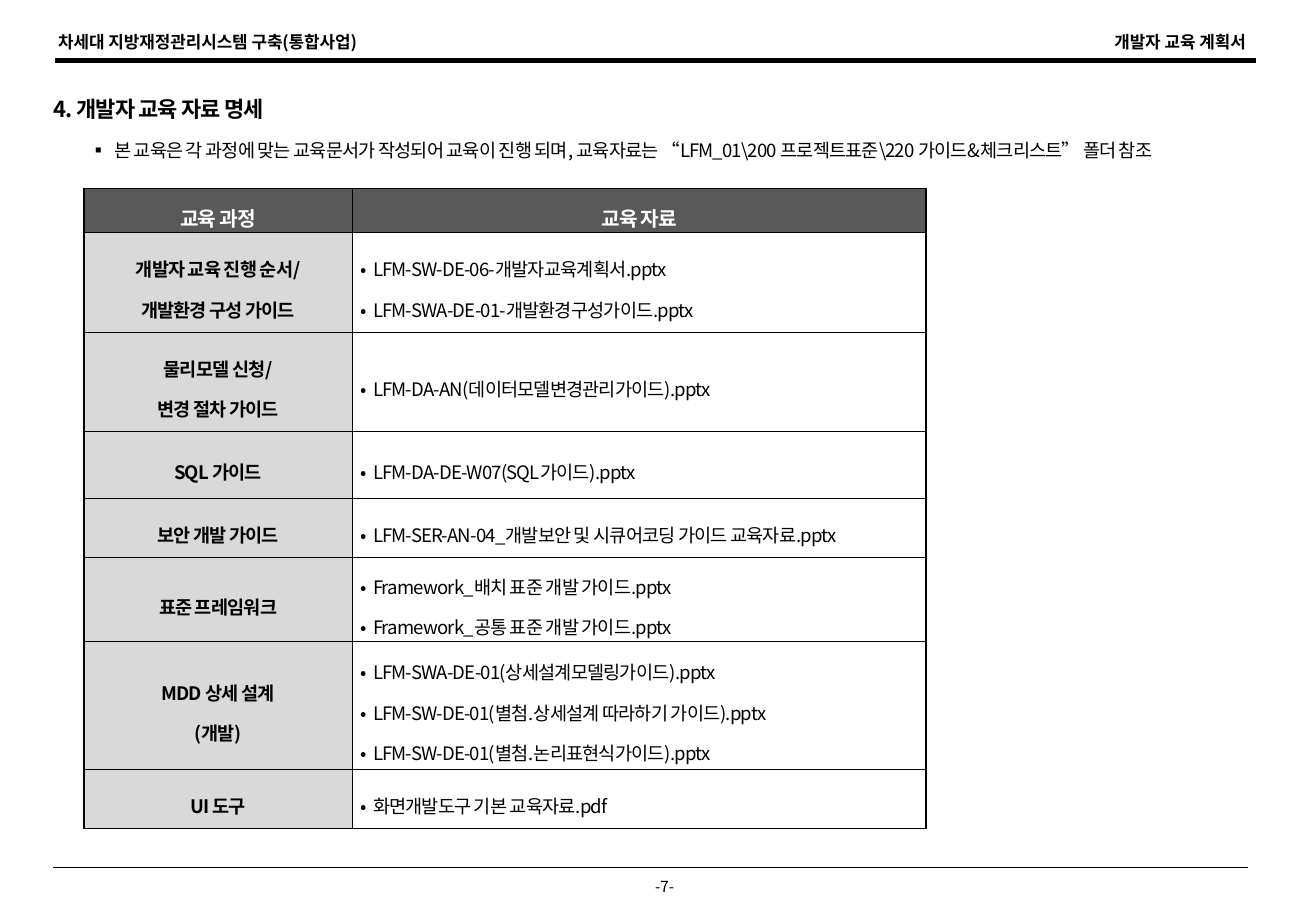
"""Build the slide that lists the developer training materials."""
import lxml.etree
import pptx
import pptx.dml.color
import pptx.enum.shapes
import pptx.enum.text
import pptx.oxml.ns
import pptx.util

ALIGN = pptx.enum.text.PP_ALIGN
ANCHOR = pptx.enum.text.MSO_ANCHOR
WIDTH, HEIGHT = 10.83, 7.5

THEME = {
    "font": "Noto Sans CJK KR",
    "ink": "000000", "paper": "FFFFFF", "head": "595959", "label": "D9D9D9",
    "page": 9, "running": 10, "body": 11, "column": 12, "title": 13,
    "thin": 0.5, "foot": 0.75, "frame": 1, "rule": 2.75,
}

TITLE = "4. 개발자 교육 자료 명세"
INTRO = ("본 교육은 각 과정에 맞는 교육문서가 작성되어 교육이 진행 되며, 교육자료는 "
         "“LFM_01\\200 프로젝트표준\\220 가이드&체크리스트” 폴더 참조")

RUNNING = [
    ("차세대 지방재정관리시스템 구축(통합사업)", (3.51, 2.8, 27.05, 3.6), ALIGN.LEFT, "running", True),
    ("개발자 교육 계획서", (82.46, 2.8, 13.11, 3.6), ALIGN.RIGHT, "running", True),
    ("-7-", (48.38, 95.6, 4.25, 3.33), ALIGN.CENTER, "page", False),
]
RULES = [((4.16, 6.67, 95.48), "rule"), ((4.06, 95.2, 94.83), "foot")]

COLUMNS = [20.41, 43.58]
HEADINGS = ["교육 과정", "교육 자료"]
MATERIALS = [
    (10.93, ["개발자 교육 진행 순서/", "개발환경 구성 가이드"],
     ["LFM-SW-DE-06-개발자교육계획서.pptx", "LFM-SWA-DE-01-개발환경구성가이드.pptx"]),
    (10.93, ["물리모델 신청/", "변경 절차 가이드"], ["LFM-DA-AN(데이터모델변경관리가이드).pptx"]),
    (7.33, ["SQL 가이드"], ["LFM-DA-DE-W07(SQL가이드).pptx"]),
    (6.53, ["보안 개발 가이드"], ["LFM-SER-AN-04_개발보안 및 시큐어코딩 가이드 교육자료.pptx"]),
    (9.2, ["표준 프레임워크"],
     ["Framework_배치 표준 개발 가이드.pptx", "Framework_공통 표준 개발 가이드.pptx"]),
    (14, ["MDD 상세 설계", "(개발)"],
     ["LFM-SWA-DE-01(상세설계모델링가이드).pptx",
      "LFM-SW-DE-01(별첨.상세설계 따라하기 가이드).pptx",
      "LFM-SW-DE-01(별첨.논리표현식가이드).pptx"]),
    (6.53, ["UI 도구"], ["화면개발도구 기본 교육자료.pdf"]),
]


def across(share):
    return pptx.util.Inches(WIDTH * share / 100)


def down(share):
    return pptx.util.Inches(HEIGHT * share / 100)


def area(left, top, width, height):
    return across(left), down(top), across(width), down(height)


def color(name):
    return pptx.dml.color.RGBColor.from_string(THEME[name])


def apply(target, formats):
    for name, value in formats.items():
        setattr(target, name, value)


def child(parent, tag, **attributes):
    return lxml.etree.SubElement(parent, pptx.oxml.ns.qn(tag), attributes)


def write(frame, lines, size, ink="ink", bold=False, align=ALIGN.LEFT,
          spacing=1.0, tracking=0, bullet=None, indent=0.0):
    for index, line in enumerate(lines):
        para = frame.paragraphs[0] if index == 0 else frame.add_paragraph()
        apply(para, {"alignment": align, "line_spacing": spacing,
                     "space_before": pptx.util.Pt(0)})
        properties = para._p.get_or_add_pPr()
        hang = pptx.util.Inches(indent)
        properties.set("marL", str(hang))
        properties.set("indent", str(-hang))
        if bullet:
            child(properties, "a:buFont", typeface=THEME["font"])
            child(properties, "a:buChar", char=bullet)
        else:
            child(properties, "a:buNone")
        span = para.add_run()
        span.text = line
        apply(span.font, {"name": THEME["font"], "size": pptx.util.Pt(THEME[size]), "bold": bold})
        span.font.color.rgb = color(ink)
        letters = span._r.get_or_add_rPr()
        letters.set("spc", str(tracking))
        child(letters, "a:ea", typeface=THEME["font"])


def place(box, share, wrap):
    apply(box, dict(zip(("left", "top", "width", "height"), area(*share))))
    apply(box.text_frame, {"word_wrap": wrap, "vertical_anchor": ANCHOR.TOP,
                           "auto_size": pptx.enum.text.MSO_AUTO_SIZE.NONE})


def add_rule(page, left, top, right, weight):
    line = page.shapes.add_connector(pptx.enum.shapes.MSO_CONNECTOR.STRAIGHT,
                                     across(left), down(top), across(right), down(top))
    line.line.color.rgb = color("ink")
    line.line.width = pptx.util.Pt(THEME[weight])
    child(line._element.spPr, "a:effectLst")


def set_borders(cell, outer):
    properties = cell._tc.get_or_add_tcPr()
    for index, side in enumerate(("L", "R", "T", "B")):
        weight = THEME["frame" if side in outer else "thin"]
        edge = lxml.etree.Element(pptx.oxml.ns.qn("a:ln" + side), w=str(pptx.util.Pt(weight)))
        child(child(edge, "a:solidFill"), "a:srgbClr", val=THEME["ink"])
        properties.insert(index, edge)


def add_materials(page):
    label = {"size": "body", "bold": True, "align": ALIGN.CENTER}
    files = {"size": "body", "bullet": "•", "indent": 0.1}
    heading = {"size": "column", "ink": "paper", "bold": True, "align": ALIGN.CENTER}
    rows = [(0, [([text], heading, "head") for text in HEADINGS])]
    rows += [(height, [(names, label, "label"), (documents, files, None)])
             for height, names, documents in MATERIALS]
    share = (6.37, 20.67, sum(COLUMNS), sum(height for height, _ in rows))
    table = page.shapes.add_table(len(rows), len(COLUMNS), *area(*share)).table
    apply(table, {"first_row": False, "horz_banding": False})
    for column, width in zip(table.columns, COLUMNS):
        column.width = across(width)
    side = pptx.util.Inches(0.07)
    for r, (height, cells) in enumerate(rows):
        table.rows[r].height = down(height)
        for c, (lines, style, fill) in enumerate(cells):
            cell = table.cell(r, c)
            apply(cell, {"margin_left": side, "margin_right": side, "margin_top": 0,
                         "margin_bottom": 0, "vertical_anchor": ANCHOR.MIDDLE})
            if fill:
                cell.fill.solid()
                cell.fill.fore_color.rgb = color(fill)
            else:
                cell.fill.background()
            outer = ("L" if c == 0 else "R") + ("T" if r == 0 else "")
            set_borders(cell, outer + ("B" if r == len(rows) - 1 else ""))
            write(cell.text_frame, lines, spacing=1.5, tracking=-50, **style)


def main():
    deck = pptx.Presentation()
    apply(deck, {"slide_width": across(100), "slide_height": down(100)})
    page = deck.slides.add_slide(deck.slide_layouts[1])
    for text, share, align, size, bold in RUNNING:
        box = page.shapes.add_textbox(*area(*share))
        place(box, share, False)
        write(box.text_frame, [text], size, bold=bold, align=align)
    for ends, weight in RULES:
        add_rule(page, *ends, weight)
    title, intro = page.shapes.title, page.placeholders[1]
    place(title, (3.14, 6.93, 91.87, 7.33), True)
    write(title.text_frame, [TITLE], "title", bold=True, spacing=2.0, tracking=-50)
    place(intro, (5.91, 13.33, 89.1, 4.53), True)
    write(intro.text_frame, [INTRO], "body", spacing=1.5, tracking=-50, bullet="▪", indent=0.2)
    add_materials(page)
    deck.save("out.pptx")


if __name__ == "__main__":
    main()
